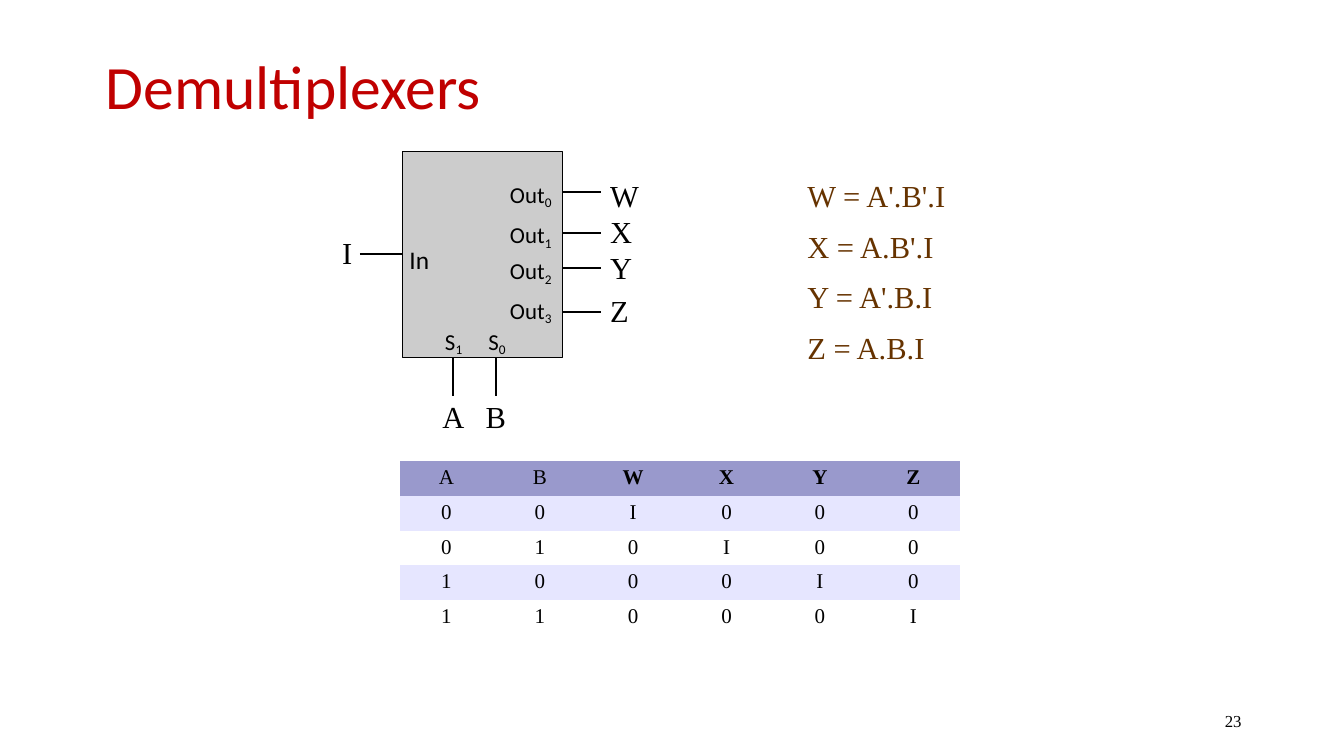
import dataclasses

import lxml.etree
import pptx
import pptx.dml.color
import pptx.enum.shapes
import pptx.enum.text
import pptx.oxml.ns
import pptx.presentation
import pptx.shapes.shapetree
import pptx.slide
import pptx.text.text
import pptx.util

Pt = pptx.util.Pt
ALIGN = pptx.enum.text.PP_ALIGN
ANCHOR = pptx.enum.text.MSO_ANCHOR
SANS, SERIF = "Calibri", "Times New Roman"
BLACK, BROWN, RED = "000000", "663300", "C00000"
HEADER_FILL, BAND_FILLS = "9999CC", ("E6E6FF", "FFFFFF")
PLAIN_TABLE_STYLE = "{2D5ABB26-0587-4C30-8999-92F81FD0307C}"

TRUTH_TABLE = ("ABWXYZ", "00I000", "010I00", "1000I0", "11000I")
EQUATIONS = ("W = A'.B'.I", "X = A.B'.I", "Y = A'.B.I", "Z = A.B.I")


@dataclasses.dataclass
class Label:
    """A line of text, with an optional subscript; lengths in points."""

    text: str
    left: float
    top: float
    subscript: str = ""
    font: str = SERIF
    size: float = 21.8
    color: str = BLACK
    width: float = 45
    height: float = 31
    line_spacing: float = 0.95


@dataclasses.dataclass
class Wire:
    """A straight wire between two points; lengths in points."""

    start_x: float
    start_y: float
    end_x: float
    end_y: float


@dataclasses.dataclass
class Output:
    """An output pin: its signal and the heights of its three parts."""

    signal: str
    pin_top: float
    wire_y: float
    signal_top: float


@dataclasses.dataclass
class Selector:
    """A select pin: its index, its signal and its wire's position."""

    index: str
    signal: str
    wire_x: float


OUTPUTS = (
    Output("W", 124.6, 137.5, 123.8),
    Output("X", 153.4, 166.2, 149.8),
    Output("Y", 179.3, 191.7, 175.7),
    Output("Z", 207.4, 222.6, 205.9),
)
SELECTORS = (Selector("1", "A", 323.4), Selector("0", "B", 354.4))


def rgb(color: str) -> pptx.dml.color.RGBColor:
    """Turn a hex string into a colour."""
    return pptx.dml.color.RGBColor.from_string(color)


def style(paragraph: pptx.text.text._Paragraph, font: str, size: float, color: str) -> None:
    """Set the font of a whole paragraph."""
    paragraph.font.name = font
    paragraph.font.size = Pt(size)
    paragraph.font.color.rgb = rgb(color)


def draw_label(shapes: pptx.shapes.shapetree._BaseGroupShapes, label: Label) -> None:
    """Add a text box for a label."""
    box = shapes.add_textbox(Pt(label.left), Pt(label.top), Pt(label.width), Pt(label.height))
    frame = box.text_frame
    frame.word_wrap = True
    frame.margin_left = frame.margin_right = Pt(6.5)
    frame.margin_top, frame.margin_bottom = Pt(4.3), Pt(3)
    paragraph = frame.paragraphs[0]
    paragraph.line_spacing = label.line_spacing
    style(paragraph, label.font, label.size, label.color)
    paragraph.add_run().text = label.text
    if label.subscript:
        run = paragraph.add_run()
        run.text = label.subscript
        run._r.get_or_add_rPr().set("baseline", "-20000")


def draw_wire(shapes: pptx.shapes.shapetree._BaseGroupShapes, wire: Wire) -> None:
    """Add a plain black line without a shadow."""
    connector = shapes.add_connector(
        pptx.enum.shapes.MSO_CONNECTOR.STRAIGHT,
        Pt(wire.start_x), Pt(wire.start_y), Pt(wire.end_x), Pt(wire.end_y),
    )
    connector.line.color.rgb = rgb(BLACK)
    connector.line.width = Pt(1.45)
    properties = connector._element.spPr
    lxml.etree.SubElement(properties, pptx.oxml.ns.qn("a:effectLst"))


def draw_demultiplexer(slide: pptx.slide.Slide) -> None:
    """Draw the device with its wires, pins and signals as one group."""
    shapes = slide.shapes.add_group_shape().shapes
    wires = [Wire(selector.wire_x, 234, selector.wire_x, 283) for selector in SELECTORS]
    wires.append(Wire(257, 181.4, 306, 181.4))
    wires += [Wire(380.5, output.wire_y, 429.5, output.wire_y) for output in OUTPUTS]
    for wire in wires:
        draw_wire(shapes, wire)

    body = shapes.add_shape(
        pptx.enum.shapes.MSO_SHAPE.RECTANGLE, Pt(287.4), Pt(108.2), Pt(114.3), Pt(147)
    )
    body.shadow.inherit = False
    body.fill.solid()
    body.fill.fore_color.rgb = rgb("CCCCCC")
    body.line.color.rgb = rgb(BLACK)
    body.line.width = Pt(0.75)

    labels = [
        Label("I", 238, 164.9),
        Label("In", 286, 170, font=SANS, size=18.1, line_spacing=1),
    ]
    pin_style = {"font": SANS, "size": 16.3, "line_spacing": 1}
    for index, output in enumerate(OUTPUTS):
        labels.append(Label("Out", 357.8, output.pin_top, str(index), width=50, **pin_style))
        labels.append(Label(output.signal, 429.4, output.signal_top))
    for selector in SELECTORS:
        labels.append(Label("S", selector.wire_x - 12, 229.7, selector.index, **pin_style))
        labels.append(Label(selector.signal, selector.wire_x - 13.9, 282.2))
    for label in labels:
        draw_label(shapes, label)


def draw_truth_table(slide: pptx.slide.Slide) -> None:
    """Add the truth table with a header and banded rows."""
    frame = slide.shapes.add_table(
        len(TRUTH_TABLE), len(TRUTH_TABLE[0]), Pt(285.5), Pt(329.5), Pt(400.2), Pt(122.5)
    )
    table = frame.table
    table._tbl.tblPr.find(pptx.oxml.ns.qn("a:tableStyleId")).text = PLAIN_TABLE_STYLE
    for column in table.columns:
        column.width = Pt(66.7)
    for row_index, values in enumerate(TRUTH_TABLE):
        table.rows[row_index].height = Pt(24.5)
        fill = BAND_FILLS[(row_index - 1) % 2] if row_index else HEADER_FILL
        for column_index, value in enumerate(values):
            cell = table.cell(row_index, column_index)
            cell.fill.solid()
            cell.fill.fore_color.rgb = rgb(fill)
            cell.margin_left = cell.margin_right = Pt(6.5)
            cell.margin_top, cell.margin_bottom = Pt(4.3), Pt(3.4)
            cell.text = value
            paragraph = cell.text_frame.paragraphs[0]
            paragraph.alignment = ALIGN.CENTER
            paragraph.line_spacing = 0.95
            style(paragraph, SERIF, 15, BLACK)
            paragraph.font.bold = row_index == 0 and column_index >= 2


def draw_title(slide: pptx.slide.Slide) -> None:
    """Fill and place the title placeholder."""
    title = slide.shapes.title
    title.left, title.top, title.width, title.height = Pt(68.4), Pt(22.3), Pt(648), Pt(83.5)
    title.text = "Demultiplexers"
    frame = title.text_frame
    frame.auto_size = pptx.enum.text.MSO_AUTO_SIZE.NONE
    frame.vertical_anchor = ANCHOR.MIDDLE
    frame.margin_top, frame.margin_bottom = Pt(2.9), Pt(3.6)
    paragraph = frame.paragraphs[0]
    paragraph.alignment = ALIGN.LEFT
    paragraph.line_spacing = 0.9
    style(paragraph, SANS, 44, RED)


def draw_slide_number(slide: pptx.slide.Slide) -> None:
    """Add the slide number at the bottom right."""
    box = slide.shapes.add_textbox(Pt(678), Pt(500.5), Pt(216), Pt(28.8))
    box.text_frame.vertical_anchor = ANCHOR.MIDDLE
    box.text_frame.word_wrap = True
    paragraph = box.text_frame.paragraphs[0]
    paragraph.text = "23"
    paragraph.alignment = ALIGN.RIGHT
    style(paragraph, SERIF, 12, BLACK)


presentation = pptx.Presentation()
presentation.slide_width, presentation.slide_height = Pt(960), Pt(540)
slide = presentation.slides.add_slide(presentation.slide_layouts.get_by_name("Title Only"))
draw_title(slide)
draw_slide_number(slide)
draw_truth_table(slide)
for index, equation in enumerate(EQUATIONS):
    draw_label(slide.shapes, Label(equation, 570.2, 124 + 36.2 * index, color=BROWN, width=130))
draw_demultiplexer(slide)
presentation.save("out.pptx")
